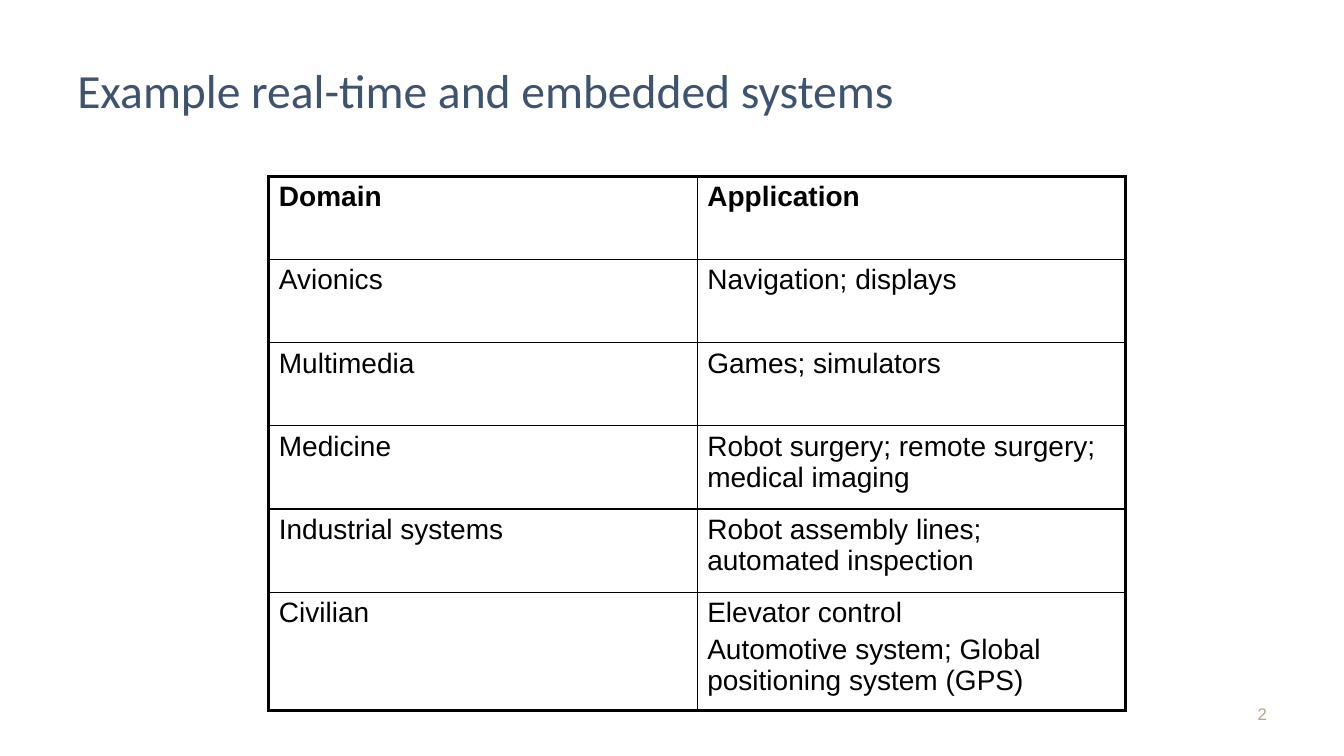
from dataclasses import dataclass

from lxml.etree import SubElement
from pptx import Presentation
from pptx.dml.color import RGBColor
from pptx.enum.text import MSO_ANCHOR, MSO_AUTO_SIZE, PP_ALIGN
from pptx.oxml.ns import qn
from pptx.shapes.base import BaseShape
from pptx.slide import Slide
from pptx.table import _Cell
from pptx.text.text import TextFrame
from pptx.util import Inches, Pt

SLIDE_WIDTH, SLIDE_HEIGHT = Inches(13.33), Inches(7.5)
COLUMN, ROW = SLIDE_WIDTH / 80, SLIDE_HEIGHT / 90

BLACK = RGBColor(0x00, 0x00, 0x00)
SLATE = RGBColor(0x3E, 0x53, 0x70)
TAN = RGBColor(0xB5, 0xA7, 0x88)

OUTER_BORDER, INNER_BORDER = 2.25, 1
ROW_HEIGHT, LAST_ROW_HEIGHT = 9.9, 14.1


@dataclass(frozen=True)
class Area:
    """A rectangle in grid columns and rows."""

    left: float
    top: float
    width: float
    height: float

    def lengths(self) -> tuple[int, int, int, int]:
        """Return the rectangle as slide lengths."""
        return (round(self.left * COLUMN), round(self.top * ROW),
                round(self.width * COLUMN), round(self.height * ROW))


@dataclass(frozen=True)
class Entry:
    """One table row: a domain and its applications."""

    domain: str
    applications: tuple[str, ...]
    bold: bool = False


TITLE_AREA = Area(4, 3.6, 72, 15)
TABLE_AREA = Area(16, 21, 51, 63.6)
NUMBER_AREA = Area(57.4, 82, 18.6, 6)

ENTRIES = [
    Entry("Domain", ("Application",), bold=True),
    Entry("Avionics", ("Navigation; displays",)),
    Entry("Multimedia", ("Games; simulators",)),
    Entry("Medicine", ("Robot surgery; remote surgery; medical imaging",)),
    Entry("Industrial systems", ("Robot assembly lines; automated inspection",)),
    Entry("Civilian", ("Elevator control",
                       "Automotive system; Global positioning system (GPS)")),
]


def write_text(frame: TextFrame, *texts: str, font: str = "Arial", size: float = 20,
               color: RGBColor = BLACK, bold: bool = False,
               align: PP_ALIGN = PP_ALIGN.LEFT, line_spacing: float = 1.0,
               space_before: float = 0) -> None:
    """Write each text as a paragraph in the given format."""
    frame.word_wrap = True
    for index, text in enumerate(texts):
        paragraph = frame.add_paragraph() if index else frame.paragraphs[0]
        paragraph.alignment = align
        paragraph.line_spacing = line_spacing
        paragraph.space_before = Pt(space_before if index else 0)
        run = paragraph.add_run()
        run.text = text
        run.font.name = font
        run.font.size = Pt(size)
        run.font.bold = bold
        run.font.color.rgb = color


def place(shape: BaseShape, area: Area) -> None:
    """Move and size a shape to fill an area."""
    shape.left, shape.top, shape.width, shape.height = area.lengths()


def set_borders(cell: _Cell, **widths: float) -> None:
    """Draw the cell's borders, given as point widths by side letter."""
    properties = cell._tc.get_or_add_tcPr()
    for side, width in widths.items():
        line = SubElement(properties, qn(f"a:ln{side}"), w=str(Pt(width)))
        fill = SubElement(line, qn("a:solidFill"))
        SubElement(fill, qn("a:srgbClr"), val=str(BLACK))


def add_title(slide: Slide) -> None:
    """Fill the title placeholder."""
    title = slide.shapes.title
    place(title, TITLE_AREA)
    frame = title.text_frame
    frame.auto_size = MSO_AUTO_SIZE.NONE
    frame.vertical_anchor = MSO_ANCHOR.MIDDLE
    write_text(frame, "Example real-time and embedded systems", font="Calibri",
               size=34, color=SLATE, line_spacing=0.9)


def add_domain_table(slide: Slide) -> None:
    """Add the table of domains and applications."""
    table = slide.shapes.add_table(len(ENTRIES), 2, *TABLE_AREA.lengths()).table
    table.first_row = table.horz_banding = False
    last = len(ENTRIES) - 1
    for row, entry in enumerate(ENTRIES):
        height = LAST_ROW_HEIGHT if row == last else ROW_HEIGHT
        table.rows[row].height = round(height * ROW)
        for column, texts in enumerate(((entry.domain,), entry.applications)):
            cell = table.cell(row, column)
            set_borders(cell,
                        L=OUTER_BORDER if column == 0 else INNER_BORDER,
                        R=OUTER_BORDER if column == 1 else INNER_BORDER,
                        T=OUTER_BORDER if row == 0 else INNER_BORDER,
                        B=OUTER_BORDER if row == last else INNER_BORDER)
            cell.fill.background()
            write_text(cell.text_frame, *texts, bold=entry.bold, space_before=4)


def add_slide_number(slide: Slide) -> None:
    """Add the slide number at the lower right."""
    frame = slide.shapes.add_textbox(*NUMBER_AREA.lengths()).text_frame
    frame.vertical_anchor = MSO_ANCHOR.MIDDLE
    write_text(frame, "2", size=12, color=TAN, align=PP_ALIGN.RIGHT)


def main() -> None:
    """Build and save the presentation."""
    presentation = Presentation()
    presentation.slide_width, presentation.slide_height = SLIDE_WIDTH, SLIDE_HEIGHT
    slide = presentation.slides.add_slide(presentation.slide_layouts[5])
    add_title(slide)
    add_domain_table(slide)
    add_slide_number(slide)
    presentation.save("out.pptx")


if __name__ == "__main__":
    main()
